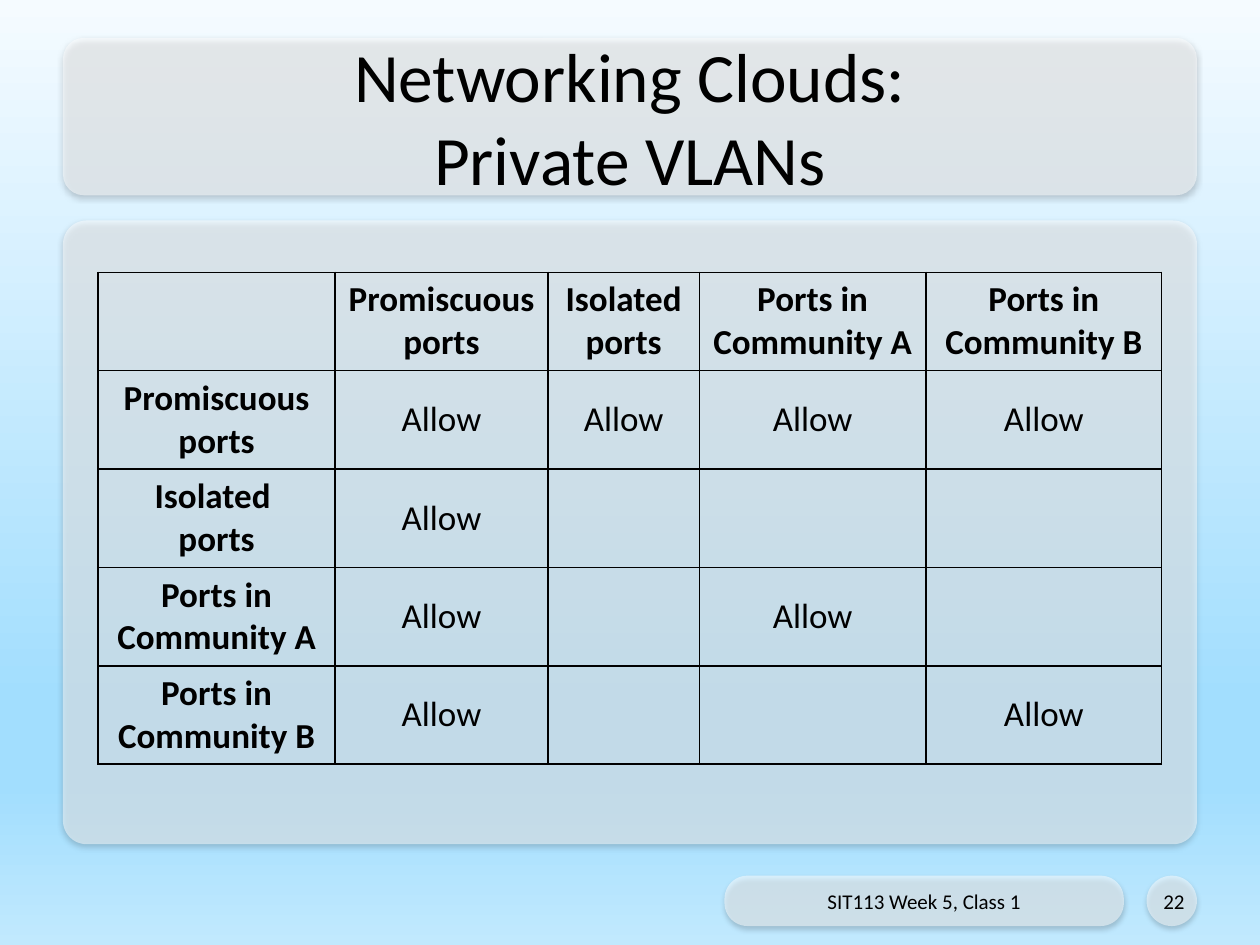
from lxml import etree
from pptx import Presentation
from pptx.dml.color import RGBColor
from pptx.enum.shapes import MSO_SHAPE
from pptx.enum.text import MSO_ANCHOR, PP_ALIGN
from pptx.oxml.ns import qn
from pptx.util import Pt

BLACK = RGBColor(0x00, 0x00, 0x00)
WHITE = RGBColor(0xFF, 0xFF, 0xFF)
SKY_STOPS = [
    (0, RGBColor(0xF5, 0xFB, 0xFF)),
    (74, RGBColor(0xA2, 0xDE, 0xFE)),
    (83, RGBColor(0xA2, 0xDE, 0xFE)),
    (100, RGBColor(0xC1, 0xE9, 0xFE)),
]
ROUNDED = MSO_SHAPE.ROUNDED_RECTANGLE
CENTER, RIGHT = PP_ALIGN.CENTER, PP_ALIGN.RIGHT
TOP, MIDDLE = MSO_ANCHOR.TOP, MSO_ANCHOR.MIDDLE

# Boxes as left, top, width, height in points
TITLE_BOX = (36, 21.6, 648, 90)
BODY_BOX = (36, 126, 648, 356.4)
FOOTER_BOX = (414, 500.4, 228.24, 28.8)
NUMBER_BOX = (655.2, 500.4, 28.8, 28.8)

TABLE_ORIGIN = (56.1, 155.6)
COLUMN_WIDTHS = (135.4, 121.7, 86.4, 129.6, 134.7)
ROW_HEIGHT = 56.2
PORTS = ["Promiscuous ports", "Isolated ports", "Ports in Community A", "Ports in Community B"]
ROW_LABELS = [PORTS[0], "Isolated \vports", *PORTS[2:]]
ALLOWED = {(row, column) for row in range(4) for column in range(4)
           if row == 0 or column == 0 or row == column > 1}


def add_element(parent, tag, **attributes):
    element = etree.SubElement(parent, qn(tag))
    for name, value in attributes.items():
        element.set(name, str(value))
    return element


def add_color(parent, color, opacity=100):
    element = add_element(parent, "a:srgbClr", val=color)
    if opacity < 100:
        add_element(element, "a:alpha", val=opacity * 1000)


def write_text(frame, text, size=20, bold=False, align=CENTER):
    paragraph = frame.paragraphs[0]
    paragraph.alignment = align
    paragraph.text = text
    for run in paragraph.runs:
        run.font.name = "Calibri"
        run.font.size = Pt(size)
        run.font.bold = bold
        run.font.color.rgb = BLACK


class SlideBuilder:
    def __init__(self, slide):
        self.slide = slide

    def background(self, stops):
        fill = self.slide.background.fill
        fill.gradient()
        fill.gradient_angle = 270
        stop_list = self.slide.element.find(".//" + qn("a:gsLst"))
        for stop in list(stop_list):
            stop_list.remove(stop)
        for position, color in stops:
            add_color(add_element(stop_list, "a:gs", pos=position * 1000), color)

    def panel(self, box, rounding):
        shape = self.slide.shapes.add_shape(ROUNDED, *map(Pt, box))
        shape.adjustments[0] = rounding
        shape.line.fill.background()
        shape.fill.solid()
        shape.fill.fore_color.rgb = WHITE
        properties = shape.element.spPr
        color = properties.find(".//" + qn("a:srgbClr"))
        add_element(color, "a:alpha", val=50000)
        # Soft shadow straight below
        shape.shadow.inherit = False
        effects = properties.find(qn("a:effectLst"))
        shadow = add_element(effects, "a:outerShdw", blurRad=Pt(3.1), dist=Pt(1.8),
                             dir=5400000, rotWithShape=0)
        add_color(shadow, BLACK, 35)

    def text(self, box, text, **style):
        frame = self.slide.shapes.add_textbox(*map(Pt, box)).text_frame
        frame.word_wrap = True
        frame.vertical_anchor = MIDDLE
        write_text(frame, text, **style)

    def cell(self, cell, text, bold, anchor):
        cell.fill.background()
        cell.vertical_anchor = anchor
        write_text(cell.text_frame, text, bold=bold)
        properties = cell._tc.get_or_add_tcPr()
        for index, side in enumerate(("a:lnL", "a:lnR", "a:lnT", "a:lnB")):
            border = add_element(properties, side, w=Pt(1))
            add_color(add_element(border, "a:solidFill"), BLACK)
            properties.insert(index, border)

    def table(self, rows):
        width, height = sum(COLUMN_WIDTHS), ROW_HEIGHT * len(rows)
        table = self.slide.shapes.add_table(
            len(rows), len(COLUMN_WIDTHS), *map(Pt, (*TABLE_ORIGIN, width, height))).table
        table.first_row = table.horz_banding = False
        for column, column_width in zip(table.columns, COLUMN_WIDTHS):
            column.width = Pt(column_width)
        for row_index, texts in enumerate(rows):
            table.rows[row_index].height = Pt(ROW_HEIGHT)
            for column_index, text in enumerate(texts):
                heading = row_index == 0 or column_index == 0
                self.cell(table.cell(row_index, column_index), text,
                          bold=heading, anchor=TOP if heading else MIDDLE)


def main():
    presentation = Presentation()
    presentation.slide_width, presentation.slide_height = Pt(720), Pt(540)
    builder = SlideBuilder(presentation.slides.add_slide(presentation.slide_layouts[6]))

    # Background and panels
    builder.background(SKY_STOPS)
    builder.panel(BODY_BOX, 0.038)
    builder.panel(NUMBER_BOX, 0.5)
    builder.panel(FOOTER_BOX, 0.459)
    builder.panel(TITLE_BOX, 0.133)

    # Table of permitted traffic
    rows = [["", *PORTS]]
    for row, label in enumerate(ROW_LABELS):
        rows.append([label, *("Allow" if (row, column) in ALLOWED else "" for column in range(4))])
    builder.table(rows)

    # Title and footer
    builder.text(TITLE_BOX, "Networking Clouds:\vPrivate VLANs", size=39.6)
    builder.text(FOOTER_BOX, "SIT113 Week 5, Class 1", size=12)
    builder.text(NUMBER_BOX, "22", size=12, align=RIGHT)

    presentation.save("out.pptx")


if __name__ == "__main__":
    main()
